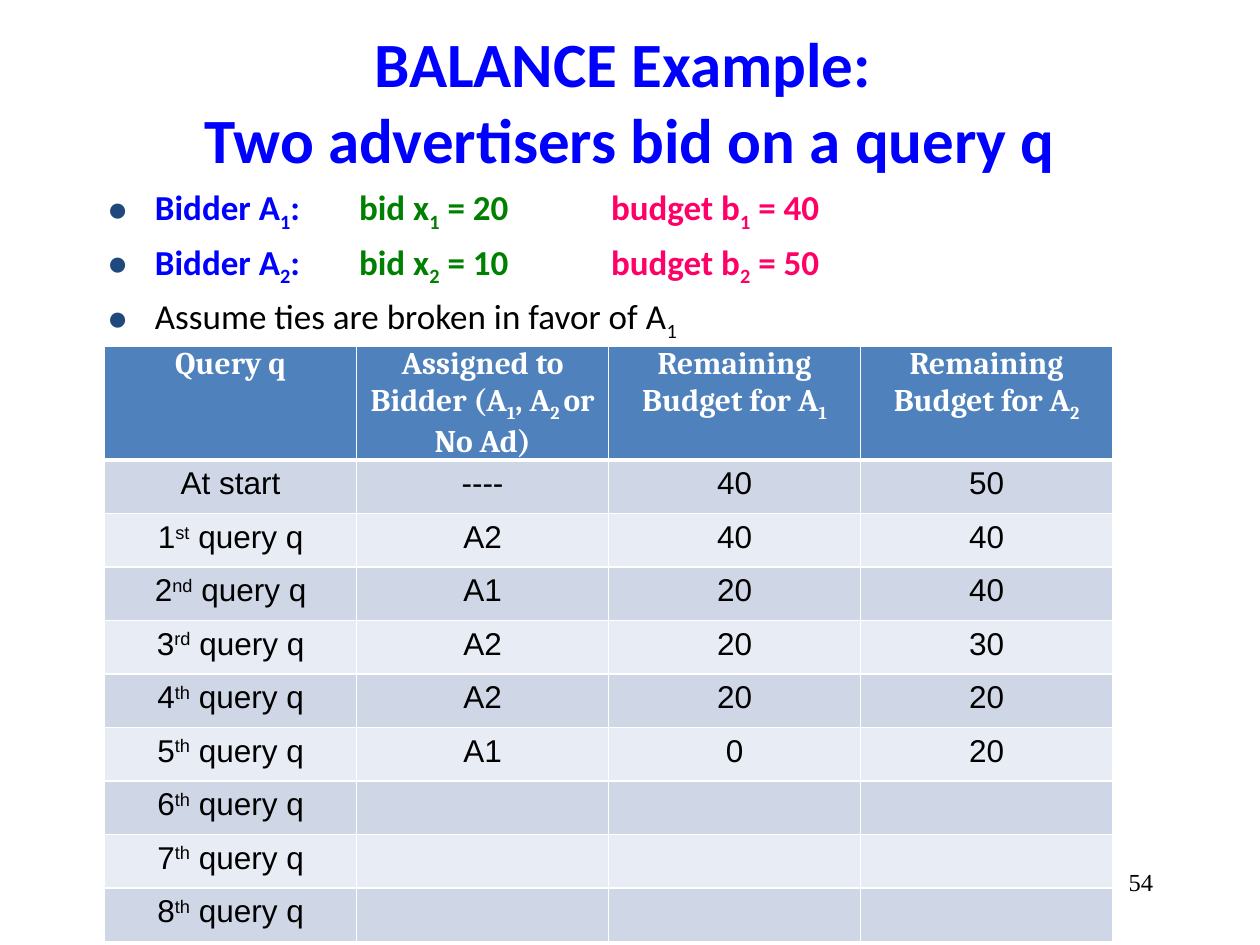
from lxml.etree import SubElement
from pptx import Presentation
from pptx.dml.color import RGBColor
from pptx.enum.text import MSO_ANCHOR as Anchor, MSO_AUTO_SIZE as AutoSize, PP_ALIGN as Align
from pptx.oxml.ns import qn
from pptx.util import Inches, Pt

COLORS = {
    "blue": "0000FF", "green": "008000", "pink": "FF0066", "black": "000000",
    "white": "FFFFFF", "bullet": "1F497D", "header": "4F81BD",
    "band_dark": "CFD7E7", "band_light": "E8ECF4",
}
SUB, SUPER = -25, 30
HEADERS = [
    [("Query q", 0)],
    [("Assigned to Bidder (A", 0), ("1", SUB), (", A", 0), ("2 ", SUB), ("or No Ad)", 0)],
    [("Remaining Budget for A", 0), ("1", SUB)],
    [("Remaining Budget for A", 0), ("2", SUB)],
]
START = ("----", "40", "50")
RESULTS = [
    ("A2", "40", "40"), ("A1", "20", "40"), ("A2", "20", "30"),
    ("A2", "20", "20"), ("A1", "0", "20"),
]
QUERY_COUNT = 8
TABLE_HEIGHT, HEADER_HEIGHT = 4.72, 0.9


def rgb(name):
    return RGBColor.from_string(COLORS[name])


def write(para, spans, *, size, font, color="black", bold=False):
    """Add (text, baseline percent) spans; a newline becomes a line break."""
    for text, baseline in spans:
        for index, line in enumerate(text.split("\n")):
            if index:
                para.add_line_break()
            span = para.add_run()
            span.text = line
            span.font.size = Pt(size)
            span.font.name = font
            span.font.bold = bold
            span.font.color.rgb = rgb(color)
            if baseline:
                span.font._element.set("baseline", str(baseline * 1000))


def place(box, left, top, width, height):
    box.left, box.top, box.width, box.height = map(Inches, (left, top, width, height))
    box.text_frame.word_wrap = True
    box.text_frame.auto_size = AutoSize.NONE


def format_bullet(para, tabs=()):
    props = para._p.get_or_add_pPr()
    props.set("marL", str(Inches(0.38)))
    props.set("indent", str(Inches(-0.38)))
    bullet_color = SubElement(props, qn("a:buClr"))
    SubElement(bullet_color, qn("a:srgbClr"), val=COLORS["bullet"])
    SubElement(props, qn("a:buFont"), typeface="Arial")
    SubElement(props, qn("a:buChar"), char="●")
    if tabs:
        tab_list = SubElement(props, qn("a:tabLst"))
        for tab in tabs:
            SubElement(tab_list, qn("a:tab"), pos=str(Inches(tab)), algn="l")


def add_title(page):
    title = page.shapes.title
    place(title, 0.75, 0.17, 8.5, 1.25)
    title.text_frame.vertical_anchor = Anchor.MIDDLE
    para = title.text_frame.paragraphs[0]
    para.alignment = Align.CENTER
    write(para, [("BALANCE Example: \nTwo advertisers bid on a query q", 0)],
          size=36, font="Calibri", color="blue", bold=True)


def add_bidders(page):
    body = page.placeholders[1]
    place(body, 0.75, 1.42, 8.5, 1.33)
    frame = body.text_frame
    style = {"size": 20, "font": "Calibri"}
    for number, bid, budget in (("1", 20, 40), ("2", 10, 50)):
        para = frame.paragraphs[0] if number == "1" else frame.add_paragraph()
        format_bullet(para, tabs=(2, 4))
        para.space_before = Pt(0 if number == "1" else 4)
        for color, before, after in (("blue", "Bidder A", ": "),
                                     ("green", "\tbid x", f" = {bid}\t"),
                                     ("pink", "budget b", f" = {budget}")):
            write(para, [(before, 0), (number, SUB), (after, 0)],
                  color=color, bold=True, **style)
    para = frame.add_paragraph()
    format_bullet(para)
    para.space_before = Pt(4)
    write(para, [("Assume ties are broken in favor of A", 0), ("1", SUB)], **style)


def add_page_number(page):
    box = page.shapes.add_textbox(0, 0, 0, 0)
    place(box, 7.17, 6.83, 2.08, 0.5)
    para = box.text_frame.paragraphs[0]
    para.alignment = Align.RIGHT
    write(para, [("54", 0)], size=14, font="Times New Roman")


def set_borders(cell, **widths):
    props = cell._tc.get_or_add_tcPr()
    for side in "LRTB":
        line = SubElement(props, qn(f"a:ln{side}"), w=str(Pt(widths.get(side, 1))))
        fill = SubElement(line, qn("a:solidFill"))
        SubElement(fill, qn("a:srgbClr"), val=COLORS["white"])


def fill_cell(cell, spans, fill, **style):
    cell.fill.solid()
    cell.fill.fore_color.rgb = rgb(fill)
    para = cell.text_frame.paragraphs[0]
    para.alignment = Align.CENTER
    write(para, spans, size=18, **style)


def table_rows():
    """Return the body rows, each a list of cells made of spans."""
    rows = [[[("At start", 0)]] + [[(value, 0)] for value in START]]
    endings = {1: "st", 2: "nd", 3: "rd"}
    for number in range(1, QUERY_COUNT + 1):
        label = [(str(number), 0), (endings.get(number, "th"), SUPER), (" query q", 0)]
        known = number <= len(RESULTS)
        values = [[(value, 0)] for value in RESULTS[number - 1]] if known else [[]] * 3
        rows.append([label] + values)
    return rows


def add_budget_table(page):
    rows = table_rows()
    frame = page.shapes.add_table(len(rows) + 1, len(HEADERS), Inches(0.83), Inches(2.75),
                                  Inches(8), Inches(TABLE_HEIGHT))
    table = frame.table
    for column in table.columns:
        column.width = Inches(2)
    for row in table.rows:
        row.height = Inches((TABLE_HEIGHT - HEADER_HEIGHT) / len(rows))
    table.rows[0].height = Inches(HEADER_HEIGHT)

    for column, spans in enumerate(HEADERS):
        cell = table.cell(0, column)
        cell.margin_left = cell.margin_right = Inches(0.07)
        cell.margin_top = cell.margin_bottom = 0
        set_borders(cell, B=3)
        fill_cell(cell, spans, "header", font="Cambria", color="white", bold=True)
    for number, row in enumerate(rows, start=1):
        band = "band_dark" if number % 2 else "band_light"
        for column, spans in enumerate(row):
            cell = table.cell(number, column)
            set_borders(cell, T=3 if number == 1 else 1)
            fill_cell(cell, spans, band, font="Arial")


def main():
    deck = Presentation()
    deck.slide_width, deck.slide_height = Inches(10), Inches(7.5)
    page = deck.slides.add_slide(deck.slide_layouts[1])
    add_title(page)
    add_bidders(page)
    add_page_number(page)
    add_budget_table(page)
    deck.save("out.pptx")


if __name__ == "__main__":
    main()
